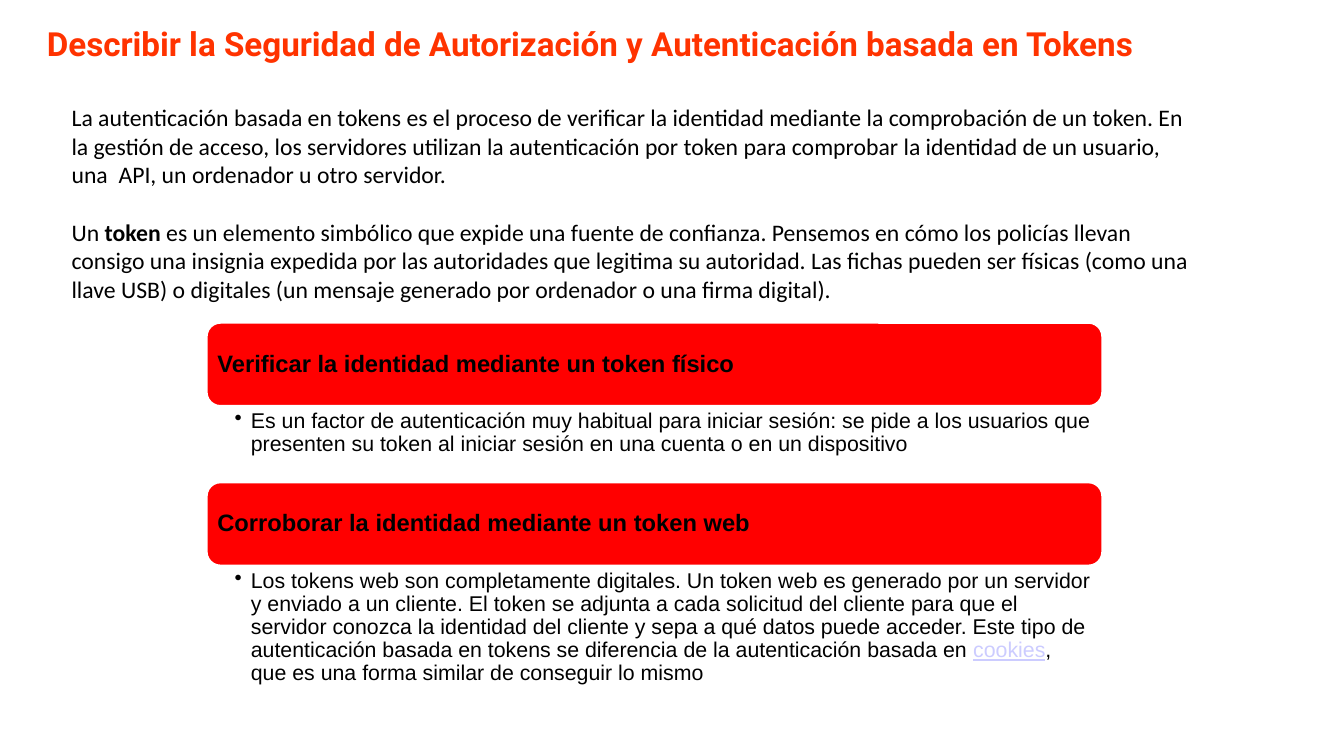
from pptx import Presentation
from pptx import util as u
from pptx.dml.color import RGBColor
from pptx.enum import shapes, text
from pptx.oxml.ns import qn
from lxml import etree

BLACK, RED, WHITE = "000000", "FF0000", "FFFFFF"
TITLE_COLOR, LINK_COLOR = "FF3300", "CCCCFF"

TITLE = "Describir la Seguridad de Autorización y Autenticación basada en Tokens"
INTRO = [
    [("La autenticación basada en tokens es el proceso de verificar la identidad "
      "mediante la comprobación de un token. En la gestión de acceso, los servidores "
      "utilizan la autenticación por token para comprobar la identidad de un usuario, "
      "una  API, un ordenador u otro servidor.", "")],
    [("Un ", ""), ("token", "bold"),
     (" es un elemento simbólico que expide una fuente de confianza. Pensemos en cómo "
      "los policías llevan consigo una insignia expedida por las autoridades que "
      "legitima su autoridad. Las fichas pueden ser físicas (como una llave USB) o "
      "digitales (un mensaje generado por ordenador o una firma digital).", "")],
]
# Heading, detail runs, height of the detail
TOKEN_TYPES = [
    ("Verificar la identidad mediante un token físico",
     [("Es un factor de autenticación muy habitual para iniciar sesión: se pide a los "
       "usuarios que presenten su token al iniciar sesión en una cuenta o en un "
       "dispositivo", "")], 0.87),
    ("Corroborar la identidad mediante un token web",
     [("Los tokens web son completamente digitales. Un token web es generado por un "
       "servidor y enviado a un cliente. El token se adjunta a cada solicitud del "
       "cliente para que el servidor conozca la identidad del cliente y sepa a qué "
       "datos puede acceder. Este tipo de autenticación basada en tokens se diferencia "
       "de la autenticación basada en ", ""), ("cookies", "link"),
      (", que es una forma similar de conseguir lo mismo", "")], 1.36),
]
LIST_LEFT, LIST_TOP, LIST_WIDTH = 2.42, 3.78, 10.5
HEADING_HEIGHT, DETAIL_GAP = 0.98, 0.02


def rgb(value):
    return RGBColor.from_string(value)


def set_frame(frame, insets, anchor=text.MSO_ANCHOR.TOP):
    frame.word_wrap = True
    frame.vertical_anchor = anchor
    (frame.margin_left, frame.margin_top,
     frame.margin_right, frame.margin_bottom) = map(u.Inches, insets)


def write(paragraph, runs, font, size, color=BLACK, bold=False):
    """Fill a paragraph with (words, style) runs."""
    paragraph.alignment = text.PP_ALIGN.LEFT
    paragraph.font.name = font
    paragraph.font.size = u.Pt(size)
    paragraph.font.bold = bold
    paragraph.font.color.rgb = rgb(color)
    for words, style in runs:
        run = paragraph.add_run()
        run.text = words
        if style == "bold":
            run.font.bold = True
        elif style == "link":
            run.font.underline = True
            run.font.color.rgb = rgb(LINK_COLOR)


def add_text(slide, box, insets=(0.1, 0.05, 0.1, 0.05)):
    frame = slide.shapes.add_textbox(*map(u.Inches, box)).text_frame
    set_frame(frame, insets)
    return frame


def add_bullet(paragraph, indent):
    properties = paragraph._p.get_or_add_pPr()
    properties.set("marL", str(u.Inches(indent)))
    properties.set("indent", str(u.Inches(-indent)))
    bullet = etree.Element(qn("a:buChar"), char="•")
    properties.insert_element_before(bullet, "a:tabLst", "a:defRPr", "a:extLst")


def add_heading(slide, top, words):
    heading = slide.shapes.add_shape(
        shapes.MSO_SHAPE.ROUNDED_RECTANGLE,
        *map(u.Inches, (LIST_LEFT, top, LIST_WIDTH, HEADING_HEIGHT)))
    heading.shadow.inherit = False
    heading.fill.solid()
    heading.fill.fore_color.rgb = rgb(RED)
    heading.line.color.rgb = rgb(WHITE)
    heading.line.width = u.Pt(2)
    set_frame(heading.text_frame, [0.08] * 4, text.MSO_ANCHOR.MIDDLE)
    paragraph = heading.text_frame.paragraphs[0]
    paragraph.line_spacing = 0.9
    write(paragraph, [(words, "")], "Arial", 20, bold=True)


def add_detail(slide, top, height, runs):
    frame = add_text(slide, (LIST_LEFT, top, LIST_WIDTH, height),
                     (0.33, 0.03, 0.14, 0.03))
    paragraph = frame.paragraphs[0]
    paragraph.line_spacing = 0.9
    write(paragraph, runs, "Arial", 18)
    add_bullet(paragraph, 0.19)


def main():
    deck = Presentation()
    deck.slide_width, deck.slide_height = u.Inches(15.75), u.Inches(8.66)
    slide = deck.slides.add_slide(deck.slide_layouts[6])

    # Title
    title = add_text(slide, (0.45, 0.23, 13.29, 0.93))
    write(title.paragraphs[0], [(TITLE, "")], "Roboto", 28, TITLE_COLOR, bold=True)

    # Introduction, one line apart
    intro = add_text(slide, (0.74, 1.16, 13.45, 2.44))
    first, second = intro.paragraphs[0], intro.add_paragraph()
    first.space_after = u.Pt(24.4)
    for paragraph, runs in zip((first, second), INTRO):
        write(paragraph, runs, "Calibri", 20)

    # Kinds of token, stacked
    top = LIST_TOP
    for heading, detail, height in TOKEN_TYPES:
        add_heading(slide, top, heading)
        top += HEADING_HEIGHT + DETAIL_GAP
        add_detail(slide, top, height, detail)
        top += height

    deck.save("out.pptx")


if __name__ == "__main__":
    main()
